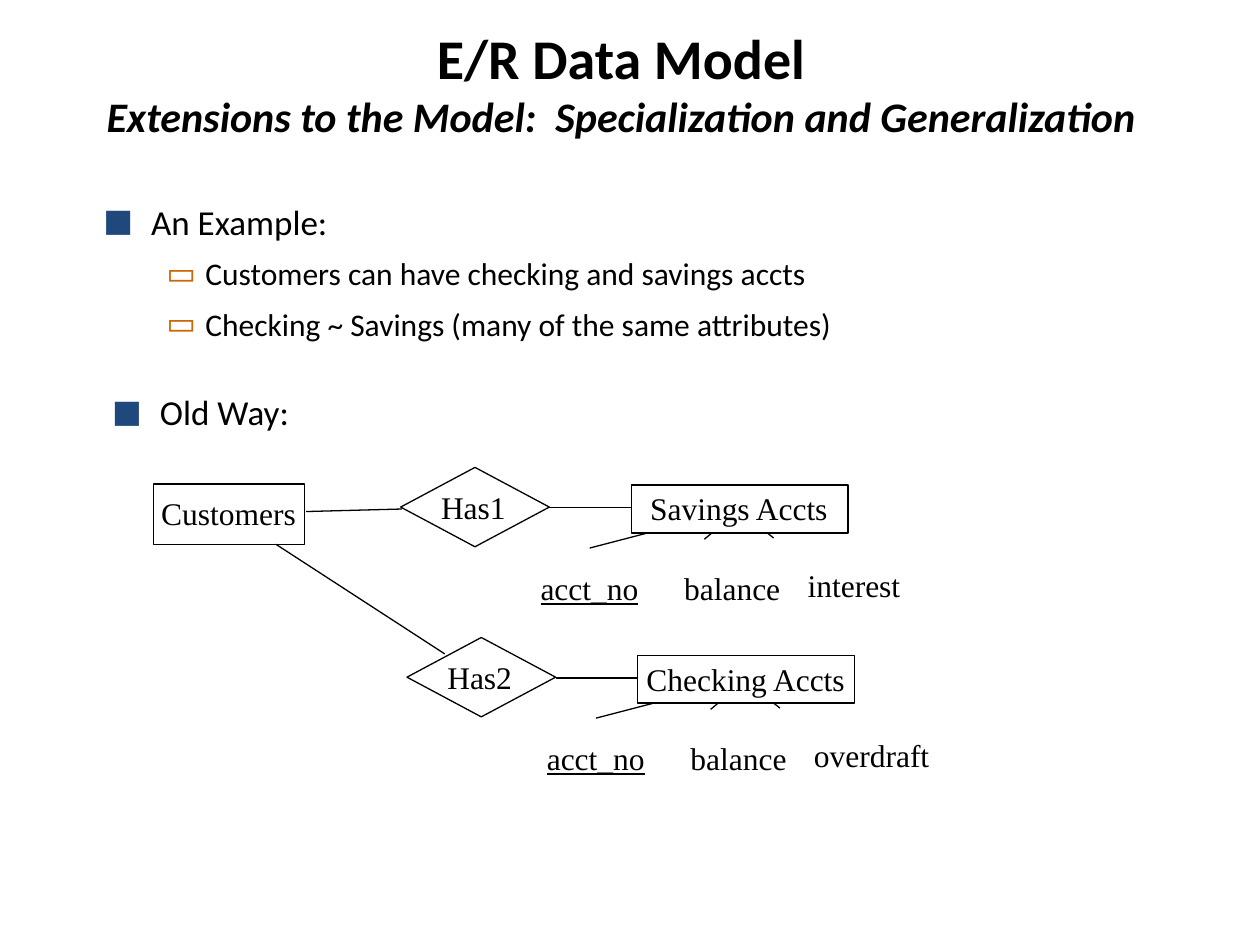
from lxml.etree import SubElement
from pptx import Presentation
from pptx.dml.color import RGBColor
from pptx.enum.shapes import MSO_CONNECTOR, MSO_SHAPE
from pptx.enum.text import MSO_ANCHOR, MSO_AUTO_SIZE, PP_ALIGN
from pptx.oxml.ns import qn
from pptx.util import Inches, Pt

COLORS = {"ink": "000000", "square": "1F497D", "bar": "CC6600"}
SANS, SERIF = "Calibri", "Times New Roman"
BULLETS = [
    {"char": "■", "color": "square", "scale": 90, "size": 20, "before": 8, "left": 0.38, "hang": 0.38},
    {"char": "▭", "color": "bar", "scale": 100, "size": 18, "before": 7, "left": 0.81, "hang": 0.31},
]


def add_run(p, text, size, font, bold=None, italic=None, underline=None):
    r = p.add_run()
    r.text = text
    f = r.font
    f.size, f.name, f.bold, f.italic, f.underline = Pt(size), font, bold, italic, underline
    f.color.rgb = RGBColor.from_string(COLORS["ink"])


def format_frame(tf, anchor):
    tf.word_wrap = True
    tf.auto_size = MSO_AUTO_SIZE.NONE
    tf.vertical_anchor = anchor
    tf.margin_left = tf.margin_right = tf.margin_top = tf.margin_bottom = Inches(0.05)


def add_title(s, title, subtitle):
    sp = s.shapes.title
    sp.left, sp.top, sp.width, sp.height = Inches(-0.02), Inches(0.08), Inches(9.9), Inches(1.14)
    tf = sp.text_frame
    format_frame(tf, MSO_ANCHOR.MIDDLE)
    p = tf.paragraphs[0]
    p.alignment = PP_ALIGN.CENTER
    add_run(p, title, 32, SANS, bold=True)
    p.add_line_break()
    SubElement(p._p.find(qn("a:br")), qn("a:rPr"), sz="3200")
    add_run(p, subtitle, 24, SANS, bold=True, italic=True)


def set_bullet(p, style):
    pPr = p._p.get_or_add_pPr()
    pPr.set("marL", str(Inches(style["left"])))
    pPr.set("indent", str(-Inches(style["hang"])))
    color = SubElement(pPr, qn("a:buClr"))
    SubElement(color, qn("a:srgbClr"), val=COLORS[style["color"]])
    SubElement(pPr, qn("a:buSzPct"), val=str(style["scale"] * 1000))
    SubElement(pPr, qn("a:buFont"), typeface=SANS)
    SubElement(pPr, qn("a:buChar"), char=style["char"])


def add_bullets(s, x, y, w, h, items):
    tf = s.shapes.add_textbox(Inches(x), Inches(y), Inches(w), Inches(h)).text_frame
    format_frame(tf, MSO_ANCHOR.TOP)
    for i, (level, text) in enumerate(items):
        p = tf.add_paragraph() if i else tf.paragraphs[0]
        style = BULLETS[level]
        p.level = level
        p.space_before = Pt(style["before"])
        set_bullet(p, style)
        add_run(p, text, style["size"], SANS)


def add_label(shapes, text, x, y, w, underline=None):
    tf = shapes.add_textbox(Inches(x), Inches(y), Inches(w), Inches(0.43)).text_frame
    format_frame(tf, MSO_ANCHOR.MIDDLE)
    add_run(tf.paragraphs[0], text, 18, SERIF, underline=underline)


def add_node(s, kind, box, text, label):
    shapes = s.shapes.add_group_shape().shapes
    sp = shapes.add_shape(kind, *map(Inches, box))
    sp.shadow.inherit = False
    sp.fill.background()
    sp.line.color.rgb = RGBColor.from_string(COLORS["ink"])
    sp.line.width = Pt(0.75)
    add_label(shapes, text, *label)


def add_line(s, x1, y1, x2, y2):
    c = s.shapes.add_connector(MSO_CONNECTOR.STRAIGHT, *map(Inches, (x1, y1, x2, y2)))
    c.line.color.rgb = RGBColor.from_string(COLORS["ink"])
    c.line.width = Pt(0.75)
    SubElement(c._element.spPr, qn("a:effectLst"))


def add_account(s, dx, dy, relation, entity, entity_label, last_attribute):
    label_x, label_w = entity_label
    add_node(s, MSO_SHAPE.DIAMOND, (3.18 + dx, 3.71 + dy, 1.18, 0.63),
             relation, (3.45 + dx, 3.81 + dy, 0.68))
    add_node(s, MSO_SHAPE.RECTANGLE, (5.01 + dx, 3.85 + dy, 1.72, 0.38),
             entity, (label_x, 3.82 + dy, label_w))
    add_label(s.shapes, "acct_no", 4.24 + dx, 4.45 + dy, 1.03, underline=True)
    add_label(s.shapes, "balance", 5.38 + dx, 4.45 + dy, 0.99)
    add_label(s.shapes, last_attribute, 6.36 + dx, 4.43 + dy, 1.21)
    for x1, x2, y2 in [(5.14, 4.68, 4.35), (5.65, 5.59, 4.28), (6.09, 6.14, 4.27)]:
        add_line(s, x1 + dx, 4.23 + dy, x2 + dx, y2 + dy)
    add_line(s, 4.36 + dx, 4.03 + dy, 5.01 + dx, 4.03 + dy)


def main():
    prs = Presentation()
    prs.slide_width, prs.slide_height = Inches(10), Inches(7.5)
    s = prs.slides.add_slide(prs.slide_layouts[5])
    add_title(s, "E/R Data Model", "Extensions to the Model:  Specialization and Generalization")
    add_bullets(s, 0.77, 1.54, 7.43, 1.34, [
        (0, "An Example:"),
        (1, "Customers can have checking and savings accts"),
        (1, "Checking ~ Savings (many of the same attributes)"),
    ])
    add_bullets(s, 0.84, 3.05, 1.83, 0.47, [(0, "Old Way:")])
    add_node(s, MSO_SHAPE.RECTANGLE, (1.22, 3.84, 1.2, 0.48), "Customers", (1.23, 3.86, 1.34))
    add_account(s, 0, 0, "Has1", "Savings Accts", (5.11, 1.77), "interest")
    add_line(s, 2.43, 4.06, 3.19, 4.04)
    add_account(s, 0.05, 1.35, "Has2", "Checking Accts", (5.08, 1.92), "overdraft")
    add_line(s, 2.19, 4.32, 3.53, 5.19)
    prs.save("out.pptx")


if __name__ == "__main__":
    main()
